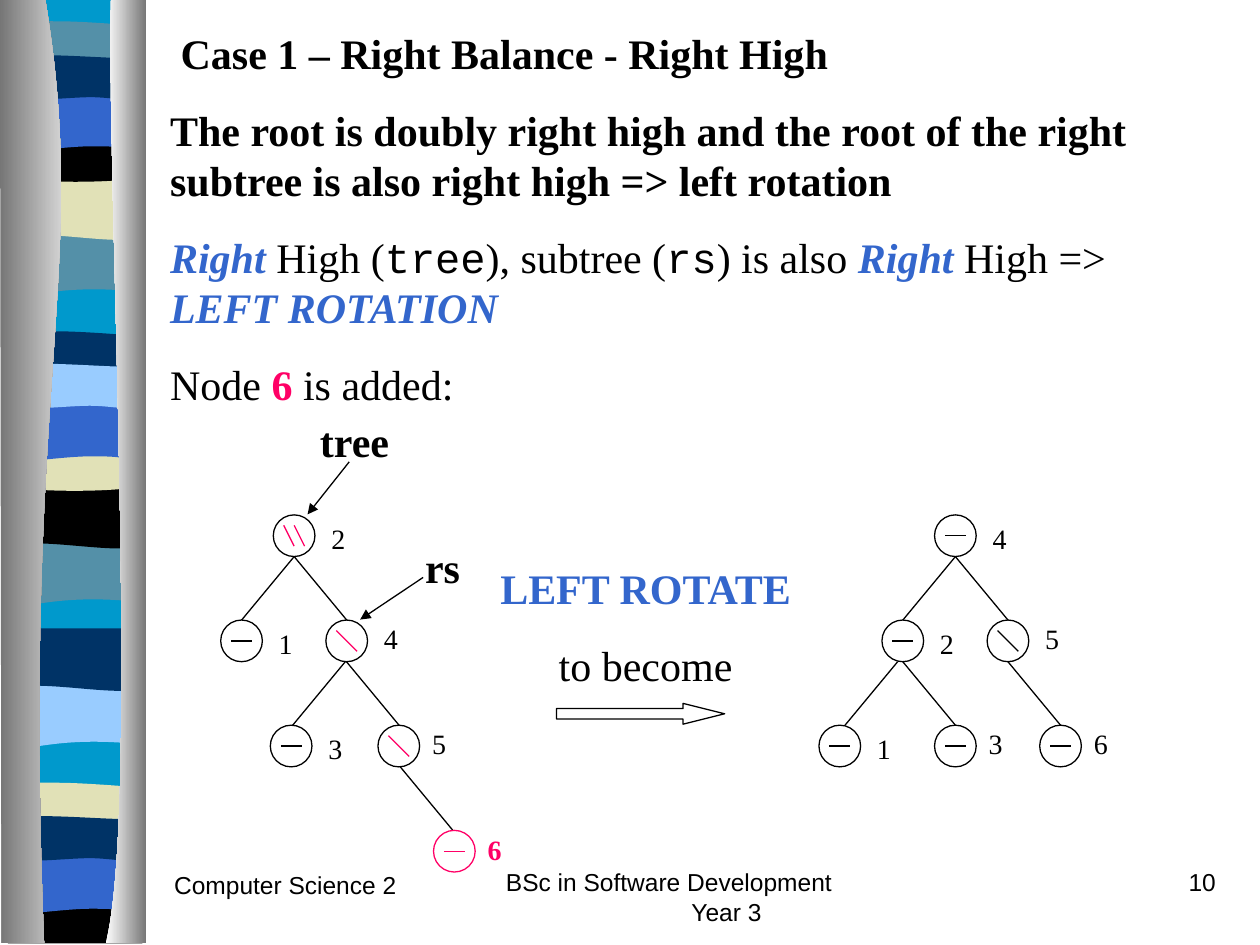
from dataclasses import dataclass
from math import copysign

from lxml.etree import SubElement
from pptx import Presentation
from pptx.dml.color import RGBColor
from pptx.enum.shapes import MSO_CONNECTOR, MSO_SHAPE
from pptx.enum.text import PP_ALIGN
from pptx.oxml.ns import qn
from pptx.util import Cm, Pt


@dataclass(frozen=True)
class Theme:
    black: str = "000000"
    blue: str = "3366CC"
    pink: str = "FF0066"
    cyan: str = "0099CC"
    teal: str = "5490A8"
    sand: str = "E1E1B7"
    navy: str = "003366"
    sky: str = "99CCFF"
    grey: str = "767676"
    white: str = "FFFFFF"
    serif: str = "Times New Roman"
    sans: str = "Arial"
    mono: str = "Courier New"
    body: int = 24
    label: int = 16
    footer: int = 14
    line: float = 0.75


THEME = Theme()
RADIUS, HALF_MARK, HALF_EDGE = 0.42, 0.21, 0.53
ROOT_Y, LEVEL_GAP = 10.8, 2.12

# Outlines: two numbers are a straight step, six are a Bezier curve.
W = 2.74
BAND_SHAPES = {
    "slope": [(W, 0), (W, 1.19), (0.84, 0.99, 0.46, 1.4, 0, 1.19), (0, 0)],
    "wave": [(W, 0), (W, 1.19), (2.29, 1.4, 0.84, 1.04, 0, 1.19), (0, 0)],
    "lens": [(W, 0), (W, 0.61), (2.29, 0.71, 0.46, 0.71, 0, 0.61), (0, 0),
             (0.18, -0.13, 0.58, -0.1, 1.04, -0.1),
             (1.5, -0.1, 2.39, -0.03, W, 0)],
    "bowl": [(W, 0), (W, 0.82), (2.29, 0.96, 0.46, 0.96, 0, 0.82), (0, 0),
             (1.68, 0.13, 2.16, 0, W, 0)],
    "arch": [(W, 0), (W, 1.19), (2.31, 1.07, 2.13, 1.07, 1.68, 1.07),
             (1.22, 1.07, 0.41, 1.19, 0, 1.19), (0, 0)],
    "ripple": [(W, 0), (W, 0.79), (2.57, 0.91, 2.13, 0.79, 1.68, 0.79),
               (1.22, 0.79, 0.28, 0.91, 0, 0.79), (0, 0),
               (0.38, -0.13, 1.85, 0, 2.31, 0), (2.77, 0, 2.67, 0, W, 0)],
    "floor": [(W, 0), (W, 0.94), (0.03, 0.94), (0, 0),
              (1.68, 0.13, 2.16, 0, W, 0)],
    "full": [(W, 0), (W, 19), (0, 19), (0, 0)],
}
BANDS = [  # shape, colour, left, top
    ("full", THEME.cyan, 0.15, -0.03),
    ("slope", THEME.teal, 0.15, 4.7), ("wave", THEME.sand, 0.15, 3.58),
    ("lens", THEME.teal, 0.15, 0.53), ("bowl", THEME.black, 0.15, 2.74),
    ("arch", THEME.blue, 0.15, 1.88), ("ripple", THEME.navy, 0.15, 1.17),
    ("slope", THEME.teal, 0.13, 10.95), ("wave", THEME.black, 0.13, 9.8),
    ("lens", THEME.navy, 0.13, 6.78), ("bowl", THEME.sand, 0.13, 8.97),
    ("arch", THEME.blue, 0.13, 8.13), ("ripple", THEME.sky, 0.13, 7.39),
    ("slope", THEME.sky, 0.15, 13.82), ("wave", THEME.navy, 0.15, 12.67),
    ("lens", THEME.sand, 0.13, 15.88), ("floor", THEME.black, 0.13, 18.08),
    ("arch", THEME.blue, 0.13, 17.25), ("ripple", THEME.navy, 0.13, 16.51),
]
LEFT_CURTAIN = [(0.91, -0.03), (1.83, 5.49, 0.43, 7.52, 0.89, 19.02),
                (0.03, 19.02), (0, -0.03)]
RIGHT_CURTAIN = [(2.24, -0.03), (2.13, 3.18, 2.84, 16.41, 2.13, 19.02),
                 (2.95, 19.02), (2.95, 0)]

# Nodes: value -> (centre x, level, parent, balance mark, mark colour)
TREE_BEFORE = {
    "2": (5.93, 0, None, "\\\\", THEME.pink),
    "1": (4.87, 1, "2", "-", THEME.black),
    "4": (6.99, 1, "2", "\\", THEME.pink),
    "3": (5.87, 2, "4", "-", THEME.black),
    "5": (8.04, 2, "4", "\\", THEME.pink),
    "6": (9.16, 3, "5", "-", THEME.pink),
}
TREE_AFTER = {
    "4": (19.26, 0, None, "-", THEME.black),
    "2": (18.2, 1, "4", "-", THEME.black),
    "5": (20.32, 1, "4", "\\", THEME.black),
    "1": (16.93, 2, "2", "-", THEME.black),
    "3": (19.26, 2, "2", "-", THEME.black),
    "6": (21.38, 2, "5", "-", THEME.black),
}
MARKS = {  # start and end offsets from the node centre, in half marks
    "-": [(-1, 0, 1, 0)],
    "\\": [(-1, -1, 1, 1)],
    "\\\\": [(-1, -1, 0, 1), (0, -1, 1, 1)],
}


class SlideWriter:
    def __init__(self, page, theme):
        self.page, self.theme = page, theme

    def outline(self, steps, colours, left=0, top=0):
        """Fill an outline with one colour, or with two from left to right."""
        points = [(Cm(left + x), Cm(top + y)) for step in steps
                  for x, y in zip(step[::2], step[1::2])]
        builder = self.page.shapes.build_freeform(*points[0], scale=1.0)
        builder.add_line_segments(points[1:], close=True)
        shape = builder.convert_to_shape()
        segments = iter(list(shape._element.iter(qn("a:lnTo"))))
        for step in steps[1:]:
            segment = next(segments)
            if len(step) == 6:
                curve = segment.makeelement(qn("a:cubicBezTo"))
                segment.addprevious(curve)
                for part in (segment, next(segments), next(segments)):
                    curve.append(part[0])
                    part.getparent().remove(part)
        shape.shadow.inherit = False
        shape.line.fill.background()
        if len(colours) == 1:
            shape.fill.solid()
            shape.fill.fore_color.rgb = RGBColor.from_string(colours[0])
            return
        shape.fill.gradient()
        shape.fill.gradient_angle = 0
        for stop, colour in zip(shape.fill.gradient_stops, colours):
            stop.color.rgb = RGBColor.from_string(colour)

    def hollow(self, kind, left, top, width, height, colour):
        shape = self.page.shapes.add_shape(kind, Cm(left), Cm(top), Cm(width), Cm(height))
        shape.shadow.inherit = False
        shape.fill.background()
        shape.line.color.rgb = RGBColor.from_string(colour)
        shape.line.width = Pt(self.theme.line)
        return shape

    def line(self, x1, y1, x2, y2, colour, arrow=False):
        line = self.page.shapes.add_connector(
            MSO_CONNECTOR.STRAIGHT, Cm(x1), Cm(y1), Cm(x2), Cm(y2))
        line.line.color.rgb = RGBColor.from_string(colour)
        line.line.width = Pt(self.theme.line)
        properties = line._element.spPr
        if arrow:
            SubElement(properties.find(qn("a:ln")), qn("a:tailEnd"), type="triangle")
        SubElement(properties, qn("a:effectLst"))

    def text(self, left, top, width, height, paragraphs, size, font=None,
             align=PP_ALIGN.LEFT, before=15):
        """Each run is (text, colour, style letters): b bold, i italic, m mono."""
        box = self.page.shapes.add_textbox(Cm(left), Cm(top), Cm(width), Cm(height))
        frame = box.text_frame
        frame.word_wrap = True
        for index, runs in enumerate(paragraphs):
            para = frame.paragraphs[0] if index == 0 else frame.add_paragraph()
            para.alignment = align
            para.space_before = Pt(before)
            for words, colour, style in runs:
                span = para.add_run()
                span.text = words
                span.font.size = Pt(size)
                span.font.name = self.theme.mono if "m" in style else font or self.theme.serif
                span.font.bold = "b" in style
                span.font.italic = "i" in style
                span.font.color.rgb = RGBColor.from_string(colour)
        return frame

    def tree(self, nodes, added=None):
        for value, (x, level, parent, mark, mark_colour) in nodes.items():
            y = ROOT_Y + level * LEVEL_GAP
            colour = self.theme.pink if value == added else self.theme.black
            label_x, label_y = x + 0.5, y - RADIUS
            if parent is not None:
                parent_x = nodes[parent][0]
                middle, reach = (x + parent_x) / 2, copysign(HALF_EDGE, x - parent_x)
                self.line(middle - reach, y - LEVEL_GAP + RADIUS,
                          middle + reach, y - RADIUS, self.theme.black)
                if reach > 0:
                    label_y = y - 0.51
                    label_x = x + (0.42 if level > 1 else 0.5)
            self.hollow(MSO_SHAPE.OVAL, x - RADIUS, y - RADIUS, 2 * RADIUS, 2 * RADIUS, colour)
            for offsets in MARKS[mark]:
                dx1, dy1, dx2, dy2 = (HALF_MARK * offset for offset in offsets)
                self.line(x + dx1, y + dy1, x + dx2, y + dy2, mark_colour)
            self.text(label_x, label_y, 0.79, 0.94,
                      [[(value, colour, "b" if value == added else "")]],
                      self.theme.label, before=10)


def main():
    deck = Presentation()
    deck.slide_width, deck.slide_height = Cm(25.4), Cm(19.05)
    page = deck.slides.add_slide(deck.slide_layouts[6])
    writer = SlideWriter(page, THEME)
    black, blue, pink = THEME.black, THEME.blue, THEME.pink

    for name, colour, left, top in BANDS:
        writer.outline(BAND_SHAPES[name], [colour], left, top)
    writer.outline(LEFT_CURTAIN, [THEME.grey, THEME.white])
    writer.outline(RIGHT_CURTAIN, [THEME.white, THEME.grey])

    writer.text(3.18, 0.43, 20.75, 7.95, [
        [(" ", black, ""), ("Case 1 – Right Balance - Right High", black, "b")],
        [("The root is doubly right high and the root of the right subtree "
          "is also right high => left rotation", black, "b")],
        [("Right ", blue, "bi"), ("High (", black, ""), ("tree", black, "m"),
         ("), subtree (", black, ""), ("rs", black, "m"), (") is also ", black, ""),
         ("Right", blue, "bi"), (" High => ", black, ""), ("LEFT ROTATION", blue, "bi")],
        [("Node ", black, ""), ("6", pink, "b"), (" is added:", black, "")],
    ], THEME.body)

    writer.tree(TREE_AFTER)
    writer.text(9.74, 11.22, 6.55, 2.82,
                [[("LEFT ROTATE", blue, "b")], [("to become", black, "")]],
                THEME.body, align=PP_ALIGN.CENTER)
    arrow = writer.hollow(MSO_SHAPE.RIGHT_ARROW, 11.22, 14.18, 3.39, 0.42, black)
    arrow.adjustments[1] = 2

    writer.tree(TREE_BEFORE, added="6")
    writer.text(6.2, 8.26, 2.11, 1.27, [[("tree", black, "b")]], THEME.body)
    writer.text(8.32, 10.8, 1.7, 1.27, [[("rs", black, "b")]], THEME.body)
    writer.line(7.04, 9.31, 6.2, 10.37, black, arrow=True)
    writer.line(8.53, 11.64, 7.26, 12.49, black, arrow=True)

    footer = {"size": THEME.footer, "font": THEME.sans, "before": 8.8}
    course = writer.text(9.95, 17.36, 8.05, 1.27,
                         [[("BSc in Software Development Year 3", black, "")]], **footer)
    course.margin_right = Cm(1)
    hanging = course.paragraphs[0]._p.get_or_add_pPr()
    hanging.set("marL", str(Cm(3.74)))
    hanging.set("indent", str(-Cm(3.74)))
    writer.text(19.48, 17.36, 5.28, 1.27, [[("10", black, "")]],
                align=PP_ALIGN.RIGHT, **footer)
    writer.text(3.26, 17.41, 5.28, 1.27, [[("Computer Science 2", black, "")]], **footer)
    deck.save("out.pptx")


if __name__ == "__main__":
    main()
